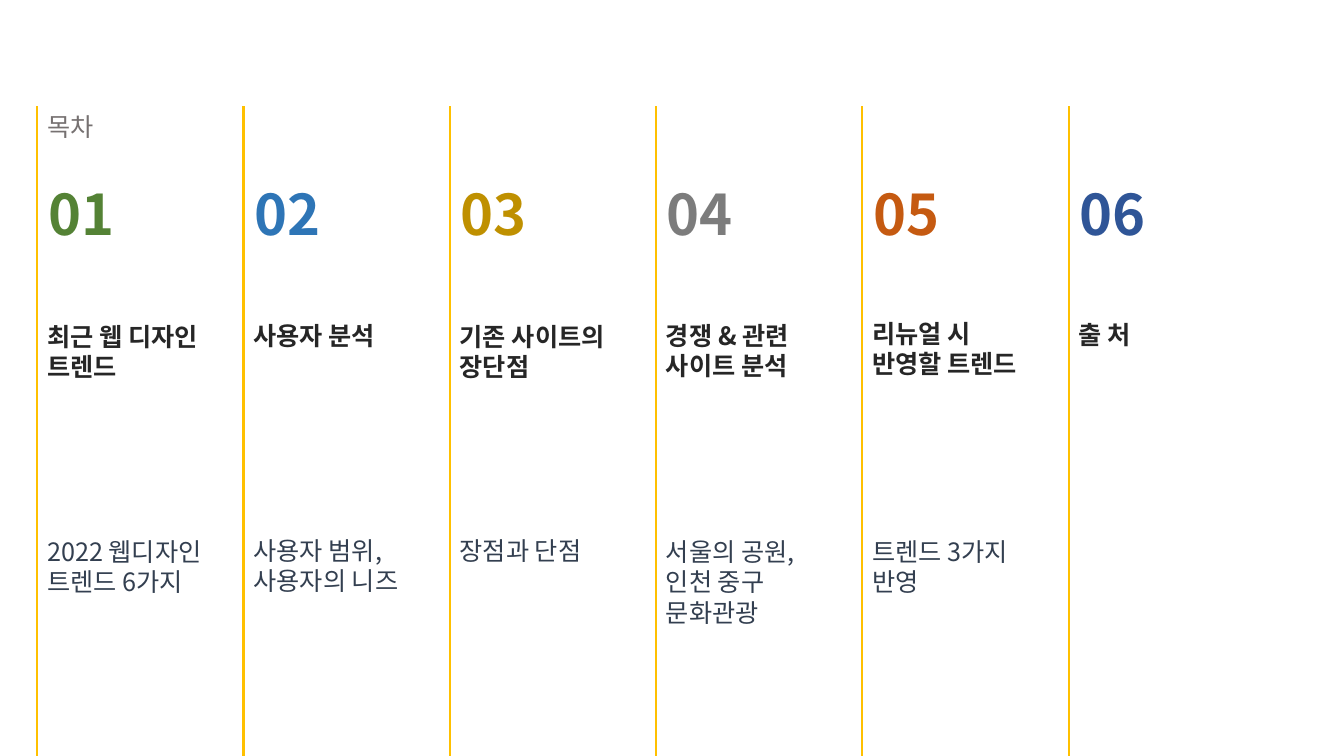
"""Build a contents slide with six numbered columns."""
from lxml.etree import SubElement
from pptx import Presentation
from pptx.dml.color import RGBColor
from pptx.enum.shapes import MSO_CONNECTOR
from pptx.enum.text import MSO_ANCHOR, MSO_AUTO_SIZE, PP_ALIGN
from pptx.oxml.ns import qn
from pptx.util import Pt

STRAIGHT = MSO_CONNECTOR.STRAIGHT
TOP = MSO_ANCHOR.TOP
NO_FIT = MSO_AUTO_SIZE.NONE
LEFT = PP_ALIGN.LEFT

FONT = "Noto Sans CJK KR"
HEADING = "목차"
SECTIONS = [
    ("548235", "최근 웹 디자인 트렌드", 226, ["2022 웹디자인 트렌드 6가지"], 379.3),
    ("2E75B6", "사용자 분석", 225.4, ["사용자 범위,", "사용자의 니즈"], 378.8),
    ("BF9000", "기존 사이트의 장단점", 226, ["장점과 단점"], 378.8),
    ("7C7C7C", "경쟁 & 관련 사이트 분석", 225.4, ["서울의 공원,", "인천 중구 문화관광"], 379.6),
    ("C55A11", "리뉴얼 시 반영할 트렌드", 224, ["트렌드 3가지", "반영"], 379.6),
    ("2F5597", "출 처", 224.6, [], 379),
]
NUMBER_STYLE = {"size": Pt(40), "bold": True, "name": FONT}
TOPIC_STYLE = {"size": Pt(18), "bold": True, "name": FONT}
BODY_STYLE = {"size": Pt(18), "bold": False, "name": FONT}

SLIDE_W, SLIDE_H = 960, 540
FIRST_X, PITCH = 26.64, 147.33
RULE_TOP, RULE_WIDTH = 75.9, 1.5
TOPIC_W, DETAIL_W = 121.7, 146
LINE_H, PADDING = 21.9, 7.2


def color(value):
    return RGBColor.from_string(value)


def write(box, lines, style, ink):
    frame = box.text_frame
    frame.word_wrap = True
    frame.auto_size = NO_FIT
    frame.vertical_anchor = TOP
    for index, line in enumerate(lines):
        paragraph = frame.add_paragraph() if index else frame.paragraphs[0]
        paragraph.alignment = LEFT
        run = paragraph.add_run()
        run.text = line
        for attribute, value in style.items():
            setattr(run.font, attribute, value)
        run.font.color.rgb = color(ink)
        SubElement(run._r.get_or_add_rPr(), qn("a:ea"), typeface=FONT)


def add_text(slide, x, y, width, height, lines, style, ink):
    box = slide.shapes.add_textbox(Pt(x), Pt(y), Pt(width), Pt(height))
    write(box, lines, style, ink)


def add_rule(slide, x):
    rule = slide.shapes.add_connector(STRAIGHT, Pt(x), Pt(RULE_TOP), Pt(x), Pt(SLIDE_H))
    rule.line.color.rgb = color("FFC000")
    rule.line.width = Pt(RULE_WIDTH)
    SubElement(rule._element.spPr, qn("a:effectLst"))


def main():
    deck = Presentation()
    deck.slide_width, deck.slide_height = Pt(SLIDE_W), Pt(SLIDE_H)
    slide = deck.slides.add_slide(deck.slide_layouts[5])

    heading = slide.shapes.title
    heading.left, heading.top = Pt(FIRST_X), Pt(RULE_TOP)
    heading.width, heading.height = Pt(52), Pt(29)
    write(heading, [HEADING], BODY_STYLE, "767171")

    for index, (ink, topic, topic_y, details, detail_y) in enumerate(SECTIONS):
        x = FIRST_X + index * PITCH
        add_rule(slide, x)
        add_text(slide, x + 0.7, 124.6, TOPIC_W, 55.4, [f"{index + 1:02}"], NUMBER_STYLE, ink)
        topic_h = PADDING + LINE_H * (2 if len(topic) > 6 else 1)
        add_text(slide, x, topic_y, TOPIC_W, topic_h, [topic], TOPIC_STYLE, "262626")
        if details:
            detail_h = PADDING + LINE_H * (len(details) + 1)
            add_text(slide, x, detail_y, DETAIL_W, detail_h, details, BODY_STYLE, "333F50")

    deck.save("out.pptx")


if __name__ == "__main__":
    main()
